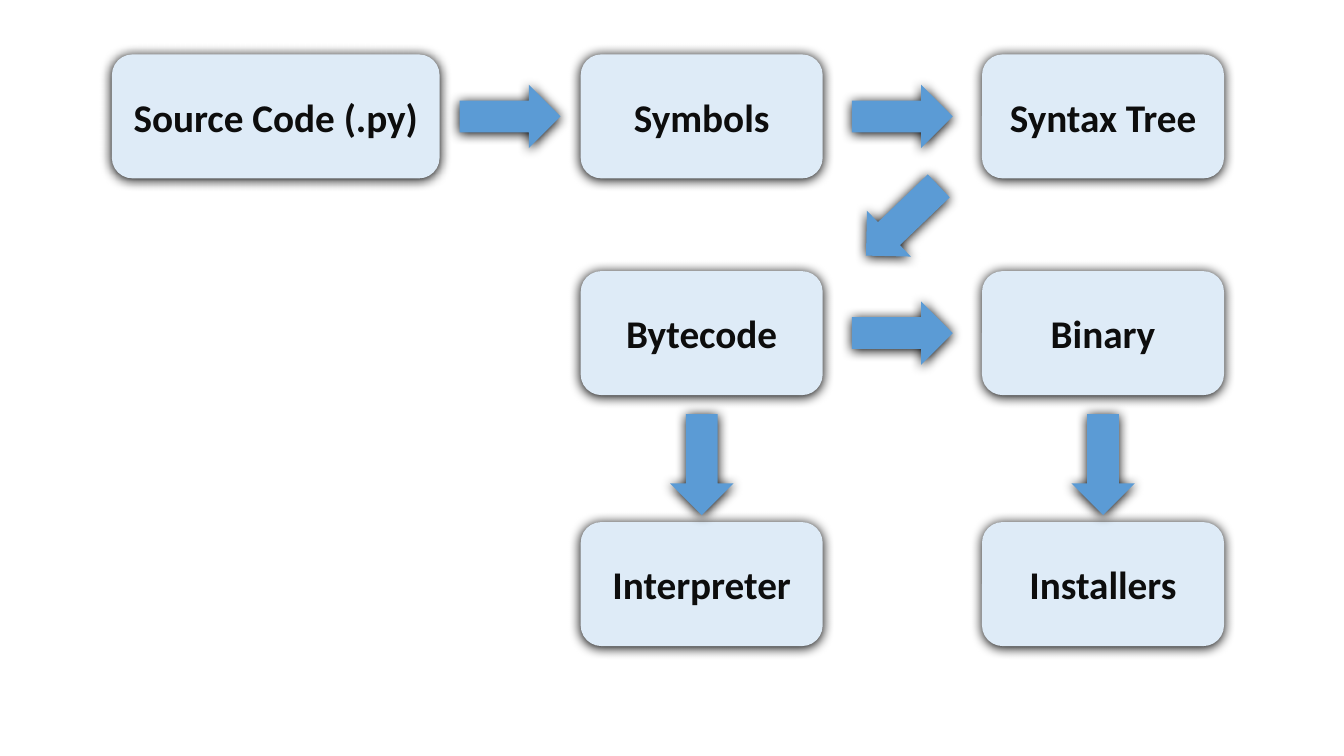
from lxml.etree import SubElement
from pptx import Presentation
from pptx.dml.color import RGBColor
from pptx.enum.shapes import MSO_SHAPE
from pptx.enum.text import MSO_ANCHOR, PP_ALIGN
from pptx.oxml.ns import qn
from pptx.util import Inches, Pt

SLIDE_W, SLIDE_H = 13.33, 7.5
COLUMNS = [(1.11, 3.25), (5.76, 2.4), (9.74, 2.4)]
ROW_TOPS = [0.54, 2.69, 5.18]
STAGE_H = 1.23
ARROW_W, ARROW_H = 1, 0.63

STAGES = {
    "Source Code (.py)": (0, 0),
    "Symbols": (1, 0),
    "Syntax Tree": (2, 0),
    "Bytecode": (1, 1),
    "Interpreter": (1, 2),
    "Binary": (2, 1),
    "Installers": (2, 2),
}
RIGHT, DOWN, BACK = (0, 0), (90, 0.06), (136.2, -0.04)
FLOWS = [
    ("Source Code (.py)", "Symbols", RIGHT),
    ("Symbols", "Syntax Tree", RIGHT),
    ("Bytecode", "Binary", RIGHT),
    ("Syntax Tree", "Bytecode", BACK),
    ("Binary", "Installers", DOWN),
    ("Bytecode", "Interpreter", DOWN),
]
STAGE_FILL, ARROW_FILL, TEXT_COLOUR, SHADOW = "DEEBF7", "5B9BD5", "0D0D0D", "000000"


def rgb(colour):
    """Turn a hex string into a colour."""
    return RGBColor.from_string(colour)


def add_block(slide, preset, box, fill):
    """Add a borderless filled shape with a soft shadow beneath it."""
    block = slide.shapes.add_shape(preset, *(Inches(length) for length in box))
    block.fill.solid()
    block.fill.fore_color.rgb = rgb(fill)
    block.line.fill.background()
    block.shadow.inherit = False
    effects = block._element.spPr.find(qn("a:effectLst"))
    shadow = SubElement(effects, qn("a:outerShdw"), blurRad=str(Pt(8.5)),
                        dist=str(Pt(1)), dir=str(90 * 60000), algn="t", rotWithShape="0")
    SubElement(shadow, qn("a:srgbClr"), val=SHADOW)
    return block


def stage_box(name):
    """Return left, top, width and height of a stage."""
    column, row = STAGES[name]
    left, width = COLUMNS[column]
    return left, ROW_TOPS[row], width, STAGE_H


def gap_middle(start, start_size, end, end_size):
    """Return the middle of the gap between two spans, or of their shared span."""
    if start > end:
        start, start_size, end, end_size = end, end_size, start, start_size
    return (start + start_size + end) / 2 if end > start else start + start_size / 2


def add_stage(slide, name):
    """Add one labelled stage."""
    stage = add_block(slide, MSO_SHAPE.ROUNDED_RECTANGLE, stage_box(name), STAGE_FILL)
    frame = stage.text_frame
    frame.text = name
    frame.word_wrap = True
    frame.vertical_anchor = MSO_ANCHOR.MIDDLE
    label = frame.paragraphs[0]
    label.alignment = PP_ALIGN.CENTER
    font = label.runs[0].font
    font.name, font.size, font.bold = "Calibri", Pt(28), True
    font.color.rgb = rgb(TEXT_COLOUR)


def add_flow(slide, source, target, direction):
    """Add the block arrow that leads from one stage to another."""
    left, top, width, height = stage_box(source)
    to_left, to_top, to_width, to_height = stage_box(target)
    angle, drop = direction
    middle_x = gap_middle(left, width, to_left, to_width)
    middle_y = gap_middle(top, height, to_top, to_height) + drop
    box = middle_x - ARROW_W / 2, middle_y - ARROW_H / 2, ARROW_W, ARROW_H
    add_block(slide, MSO_SHAPE.RIGHT_ARROW, box, ARROW_FILL).rotation = angle


def main():
    """Build the compilation pipeline slide."""
    deck = Presentation()
    deck.slide_width, deck.slide_height = Inches(SLIDE_W), Inches(SLIDE_H)
    slide = deck.slides.add_slide(deck.slide_layouts[6])
    for name in STAGES:
        add_stage(slide, name)
    for flow in FLOWS:
        add_flow(slide, *flow)
    deck.save("out.pptx")


if __name__ == "__main__":
    main()
